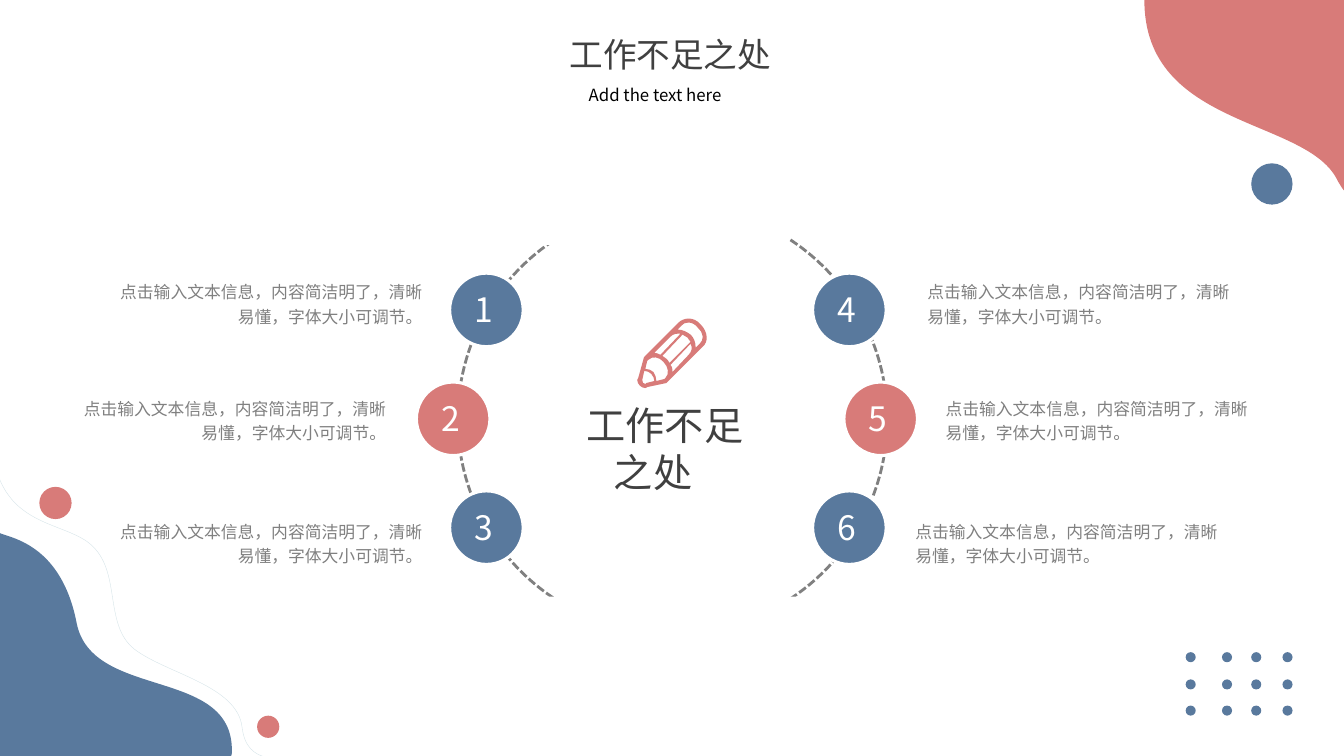
from dataclasses import dataclass

import pptx
import pptx.dml.color
import pptx.enum.dml
import pptx.enum.shapes
import pptx.enum.text
import pptx.oxml.ns
import pptx.util
from lxml import etree

Inches = pptx.util.Inches
qn = pptx.oxml.ns.qn
LEFT = pptx.enum.text.PP_ALIGN.LEFT
RIGHT = pptx.enum.text.PP_ALIGN.RIGHT


@dataclass(frozen=True)
class Theme:
    blue: str = "59799D"
    coral: str = "D87B79"
    white: str = "FFFFFF"
    black: str = "000000"
    heading: str = "404040"
    gray: str = "808080"
    pale: str = "D4E3E8"
    font: str = "Noto Sans CJK SC"
    title_size: int = 24
    center_size: int = 28
    number_size: int = 24
    body_size: int = 12


THEME = Theme()
DETAIL = "点击输入文本信息，内容简洁明了，清晰易懂，字体大小可调节。"

BLUE_WAVE = [(0, 0), [(0.12, 0.05), (0.61, 0.12), (0.76, 0.89)],
             [(0.91, 1.66), (2.31, 1.32), (2.3, 2.16)],
             [(2.3, 2.18), (2.3, 2.2), (2.29, 2.22)], (0, 2.23)]
PALE_WAVE = [(0, 0), [(-0.02, 1.02), (0.72, 0.89), (1, 1.17)],
             [(1.29, 1.45), (1.1, 1.98), (1.44, 2.21)],
             [(1.77, 2.44), (2.43, 2.56), (2.48, 2.96)],
             [(2.53, 3.37), (2.86, 3.21), (3, 3.38)]]
CORAL_WAVE = [(1.98, 0), (1.98, 1.9), [(1.96, 1.88), (1.94, 1.84), (1.92, 1.81)],
              [(1.63, 1.17), (-0.01, 1.3), (0, 0)]]

PENCIL = [
    [(62, 25), (58, 29), [(58, 23), (56, 19), (53, 16)], [(49, 13), (45, 11), (40, 11)],
     (44, 7), [(45, 5), (48, 4), (51, 4)], [(54, 4), (58, 6), (60, 9)],
     [(63, 11), (64, 14), (65, 18)], [(65, 21), (64, 23), (62, 25)]],
    [(19, 62), [(19, 59), (18, 56), (16, 53)], [(14, 51), (11, 50), (8, 50)],
     (10, 42), [(10, 41), (10, 41), (11, 41)], [(15, 37), (22, 38), (26, 43)],
     [(31, 48), (32, 55), (28, 59)], (27, 60)],
    [(9, 64), (8, 65), [(6, 65), (5, 63), (5, 61)], (7, 52),
     [(10, 52), (12, 53), (14, 55)], [(16, 57), (17, 60), (17, 62)]],
    [(23, 36), [(21, 35), (19, 34), (17, 34)], (33, 18), [(36, 15), (39, 15), (43, 15)]],
    [(32, 44), [(31, 42), (30, 41), (29, 40)], [(28, 39), (26, 38), (25, 37)],
     (45, 16), [(47, 17), (48, 18), (50, 19)], [(51, 21), (52, 22), (53, 23)]],
    [(35, 51), [(35, 49), (34, 47), (33, 46)], (53, 25),
     [(55, 29), (54, 33), (51, 36)], (35, 53)],
    [(63, 6), [(60, 2), (55, 0), (51, 0)], [(47, 0), (43, 2), (41, 4)],
     (8, 37), [(7, 38), (6, 39), (6, 41)], (1, 59), (0, 61),
     [(0, 65), (4, 69), (8, 69)], [(9, 69), (10, 68), (10, 68)],
     (29, 64), [(30, 63), (31, 62), (32, 61)], (65, 28),
     [(71, 23), (70, 13), (63, 6)]],
]


def rgb(color):
    return pptx.dml.color.RGBColor.from_string(color)


def paint(shape, fill=None, line=None, width=1):
    shape.shadow.inherit = False
    if fill:
        shape.fill.solid()
        shape.fill.fore_color.rgb = rgb(fill)
    else:
        shape.fill.background()
    if line:
        shape.line.color.rgb = rgb(line)
        shape.line.width = pptx.util.Pt(width)
    else:
        shape.line.fill.background()
    return shape


def add_preset(slide, kind, box, fill=None, line=None, width=1):
    shape = slide.shapes.add_shape(kind, *map(Inches, box))
    return paint(shape, fill, line, width)


def add_circle(slide, left, top, size, fill=None, line=None, width=1):
    oval = pptx.enum.shapes.MSO_SHAPE.OVAL
    return add_preset(slide, oval, (left, top, size, size), fill, line, width)


def bend(shape, parts):
    segments = iter(list(shape._element.iter(qn("a:lnTo"))))
    for part in parts:
        segment = next(segments)
        if isinstance(part, list):
            curve = etree.Element(qn("a:cubicBezTo"))
            segment.addprevious(curve)
            for piece in (segment, next(segments), next(segments)):
                curve.append(piece[0])
                piece.getparent().remove(piece)


def add_outline(slide, left, top, outlines, unit=1.0, closed=True, **style):
    builder = None
    for outline in outlines:
        knots = [knot for part in outline
                 for knot in (part if isinstance(part, list) else [part])]
        points = [(Inches(left + x * unit), Inches(top + y * unit)) for x, y in knots]
        if builder is None:
            builder = slide.shapes.build_freeform(*points[0], scale=1.0)
        else:
            builder.move_to(*points[0])
        builder.add_line_segments(points[1:], close=closed)
    shape = builder.convert_to_shape()
    bend(shape, [part for outline in outlines for part in outline[1:]])
    return paint(shape, **style)


def add_text(slide, box, lines, size, color, align=LEFT, spacing=None, indents=(0,)):
    frame = slide.shapes.add_textbox(*map(Inches, box)).text_frame
    frame.word_wrap = True
    frame.auto_size = pptx.enum.text.MSO_AUTO_SIZE.SHAPE_TO_FIT_TEXT
    frame.text = "\n".join(lines)
    for paragraph, indent in zip(frame.paragraphs, indents):
        paragraph.alignment = align
        if spacing:
            paragraph.line_spacing = spacing
        font = paragraph.font
        font.size = pptx.util.Pt(size)
        font.name = THEME.font
        font.color.rgb = rgb(color)
        properties = paragraph._p.get_or_add_pPr()
        if indent:
            properties.set("marL", str(Inches(indent)))
        defaults = properties.find(qn("a:defRPr"))
        etree.SubElement(defaults, qn("a:ea"), typeface=THEME.font)


def add_lower_left_corner(slide, left, top):
    add_outline(slide, left, top + 1.04, [BLUE_WAVE], fill=THEME.blue)
    add_circle(slide, left + 0.39, top + 0.58, 0.32, THEME.coral)
    add_circle(slide, left + 2.55, top + 2.85, 0.22, THEME.coral)
    add_outline(slide, left - 0.08, top, [PALE_WAVE], closed=False,
                line=THEME.pale, width=0.25)


def add_upper_right_corner(slide, left, top):
    add_outline(slide, left, top, [CORAL_WAVE], fill=THEME.coral)
    add_circle(slide, left + 1.06, top + 1.63, 0.41, THEME.blue)


def add_header(slide, left, top):
    add_text(slide, (left, top, 2.23, 0.5), ["工作不足之处"], THEME.title_size, THEME.heading)
    add_text(slide, (left + 0.19, top + 0.5, 1.85, 0.3), ["Add the text here"],
             THEME.body_size, THEME.black)


def add_dot_grid(slide, left, top):
    for row in (0, 0.27, 0.53):
        for column in (0, 0.36, 0.65, 0.96):
            add_circle(slide, left + column, top + row, 0.1, THEME.blue)


def add_ring(slide, left, top):
    ring = add_circle(slide, left, top, 4.26, line=THEME.gray, width=2)
    ring.line.dash_style = pptx.enum.dml.MSO_LINE.SQUARE_DOT
    for x, y in ((0.79, -0.26), (0.87, 3.89)):
        add_preset(slide, pptx.enum.shapes.MSO_SHAPE.RECTANGLE,
                   (left + x, top + y, 2.5, 0.66), THEME.white)


def add_center(slide, left, top):
    add_outline(slide, left + 0.6, top, PENCIL, unit=0.01, fill=THEME.coral)
    add_text(slide, (left, top + 0.77, 1.88, 1.04), ["工作不足", "之处"],
             THEME.center_size, THEME.heading, indents=(0, 0.27))


def add_points(slide, top, first_number, circle_lefts, detail_lefts, align):
    colors = (THEME.blue, THEME.coral, THEME.blue)
    detail_offsets = (0, 1.16, 2.38)
    rows = zip(circle_lefts, detail_lefts, colors, detail_offsets)
    for row, (circle_left, detail_left, color, offset) in enumerate(rows):
        circle_top = top + row * 1.08
        add_circle(slide, circle_left, circle_top, 0.73, color, THEME.white, 2.25)
        add_text(slide, (circle_left + 0.15, circle_top + 0.11, 0.43, 0.5),
                 [str(first_number + row)], THEME.number_size, THEME.white)
        add_text(slide, (detail_left, top + offset, 3.27, 0.83), [DETAIL],
                 THEME.body_size, THEME.gray, align, 1.2)


def main():
    deck = pptx.Presentation()
    deck.slide_width, deck.slide_height = Inches(13.33), Inches(7.5)
    slide = deck.slides.add_slide(deck.slide_layouts[6])
    add_lower_left_corner(slide, 0, 4.25)
    add_upper_right_corner(slide, 11.35, -0.01)
    add_header(slide, 5.55, 0.29)
    add_dot_grid(slide, 11.76, 6.47)
    add_ring(slide, 4.54, 2.03)
    add_center(slide, 5.72, 3.16)
    add_points(slide, 2.71, 1, (4.46, 4.13, 4.46), (1.02, 0.66, 1.02), RIGHT)
    add_points(slide, 2.71, 4, (8.06, 8.37, 8.06), (9.1, 9.28, 8.98), LEFT)
    deck.save("out.pptx")


if __name__ == "__main__":
    main()
